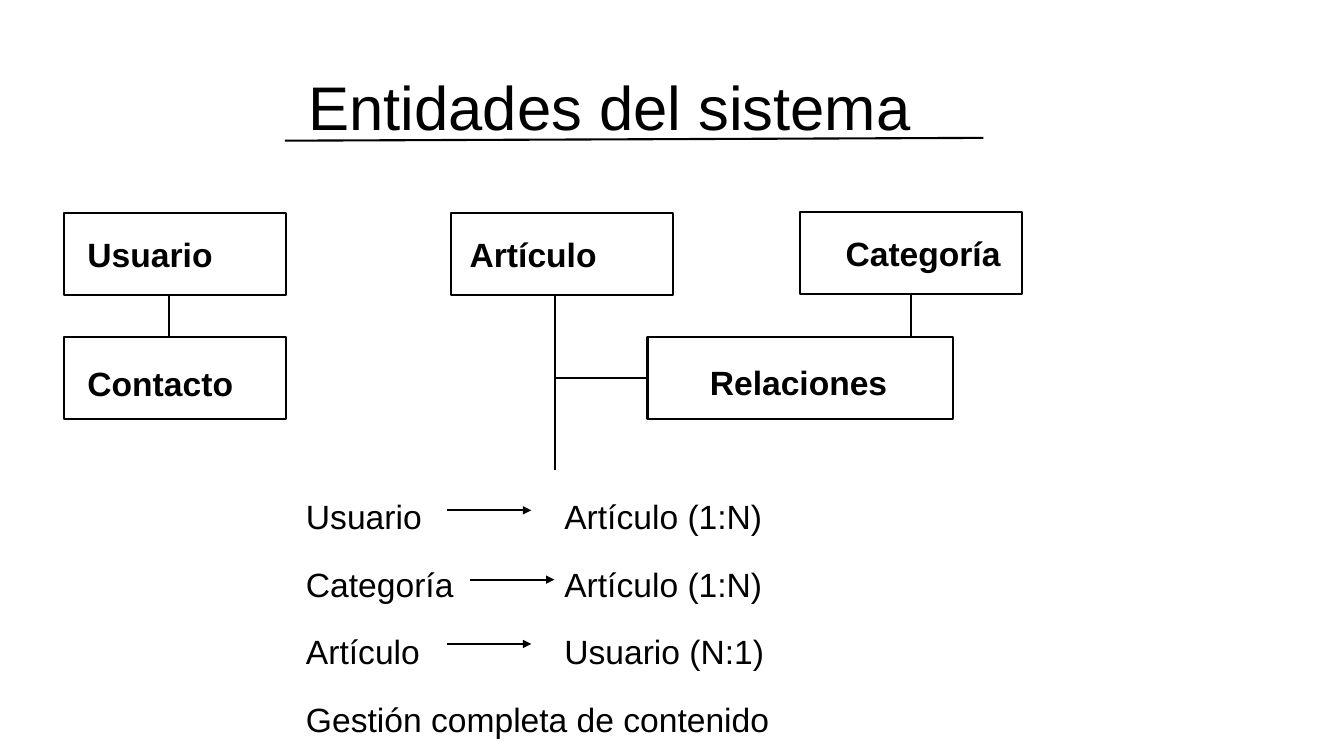
from lxml.etree import SubElement
from pptx import Presentation
from pptx.dml.color import RGBColor
from pptx.enum.shapes import MSO_CONNECTOR, MSO_SHAPE
from pptx.enum.text import MSO_ANCHOR, PP_ALIGN
from pptx.oxml.ns import qn
from pptx.util import Pt

COLORS = {"ink": "000000", "paper": "FFFFFF"}
FONT = "Arial"
ENTITY_W, ENTITY_H = 158.5, 58.5


def write(tf, lines, size=24, bold=False, anchor=MSO_ANCHOR.TOP,
          spacing=1.0, after=0, left=7.2, top=3.6):
    """Fill a text frame with left-aligned paragraphs."""
    tf.word_wrap = True
    tf.vertical_anchor = anchor
    tf.margin_left, tf.margin_top = Pt(left), Pt(top)
    tf.margin_right, tf.margin_bottom = Pt(0), Pt(3.6)
    for i, line in enumerate(lines):
        p = tf.add_paragraph() if i else tf.paragraphs[0]
        p.alignment = PP_ALIGN.LEFT
        p.line_spacing = spacing
        p.space_before, p.space_after = Pt(0), Pt(after)
        r = p.add_run()
        r.text = line
        r.font.name, r.font.size, r.font.bold = FONT, Pt(size), bold
        r.font.color.rgb = RGBColor.from_string(COLORS["ink"])


def add_line(s, x1, y1, x2, y2, arrow=False):
    """Draw a straight line, with an arrowhead at its end if asked."""
    c = s.shapes.add_connector(MSO_CONNECTOR.STRAIGHT, Pt(x1), Pt(y1), Pt(x2), Pt(y2))
    c.line.width = Pt(1.5)
    c.line.color.rgb = RGBColor.from_string(COLORS["ink"])
    if arrow:
        SubElement(c.line._get_or_add_ln(), qn("a:tailEnd"), type="triangle")
    SubElement(c._element.spPr, qn("a:effectLst"))
    return c


def add_entity(s, name, x, y, w=ENTITY_W, h=ENTITY_H, indent=16.5, drop=0):
    """Draw an outlined entity box with its name."""
    sp = s.shapes.add_shape(MSO_SHAPE.RECTANGLE, Pt(x), Pt(y), Pt(w), Pt(h))
    sp.shadow.inherit = False
    sp.fill.background()
    sp.line.width = Pt(1.5)
    sp.line.color.rgb = RGBColor.from_string(COLORS["ink"])
    write(sp.text_frame, [name], bold=True, anchor=MSO_ANCHOR.MIDDLE,
          left=indent, top=3.6 + drop)
    return sp


def add_title(s, x, y, w, h):
    """Place the title and the rule under it."""
    sp = s.shapes.title
    sp.left, sp.top, sp.width, sp.height = Pt(x), Pt(y), Pt(w), Pt(h)
    write(sp.text_frame, ["Entidades del sistema"], size=44,
          anchor=MSO_ANCHOR.BOTTOM, spacing=0.9)
    add_line(s, x - 9.5, y + 61.5, x + 489.5, y + 59.5)


def add_diagram(s, x, y):
    """Draw the entities in two rows and the lines that relate them."""
    row2 = y + 89
    add_entity(s, "Usuario", x, y)
    add_entity(s, "Artículo", x + 276, y, indent=13.5)
    add_entity(s, "Categoría", x + 525.5, y - 0.5, indent=32.5)
    add_entity(s, "Contacto", x, row2, drop=6)
    relations = add_entity(s, "Relaciones", x + 416.5, row2 - 0.5, w=218, h=59,
                           indent=44.5, drop=6)
    bottom, stem = y + ENTITY_H, x + 350.5
    add_line(s, x + 75, bottom, x + 75, row2)
    add_line(s, stem, bottom, stem, y + 183.5)
    add_line(s, x + 605, bottom - 1, x + 605, row2 - 0.5)
    branch = add_line(s, stem, row2 + 29, x + 416.5, row2 + 29)
    branch.end_connect(relations, 1)


def add_cardinalities(s, x, y):
    """List the relations as two columns joined by arrows."""
    columns = [
        (0, 352, ["Usuario", "Categoría", "Artículo", "Gestión completa de contenido"]),
        (184.5, 201, ["Artículo (1:N)", "Artículo (1:N)", "Usuario (N:1)"]),
    ]
    for dx, w, lines in columns:
        box = s.shapes.add_textbox(Pt(x + dx), Pt(y), Pt(w), Pt(191))
        write(box.text_frame, lines, spacing=1.5, after=5)
    for dx, dy in [(107.5, 28), (124, 77.5), (107.5, 123.5)]:
        add_line(s, x + dx, y + dy, x + dx + 60.5, y + dy, arrow=True)


def main():
    """Build the slide and save it."""
    prs = Presentation()
    prs.slide_width, prs.slide_height = Pt(960), Pt(540)
    s = prs.slides.add_slide(prs.slide_layouts[5])
    s.background.fill.solid()
    s.background.fill.fore_color.rgb = RGBColor.from_string(COLORS["paper"])
    add_title(s, 213, 39, 619, 67)
    add_diagram(s, 46, 152)
    add_cardinalities(s, 211.5, 336.5)
    prs.save("out.pptx")


if __name__ == "__main__":
    main()
